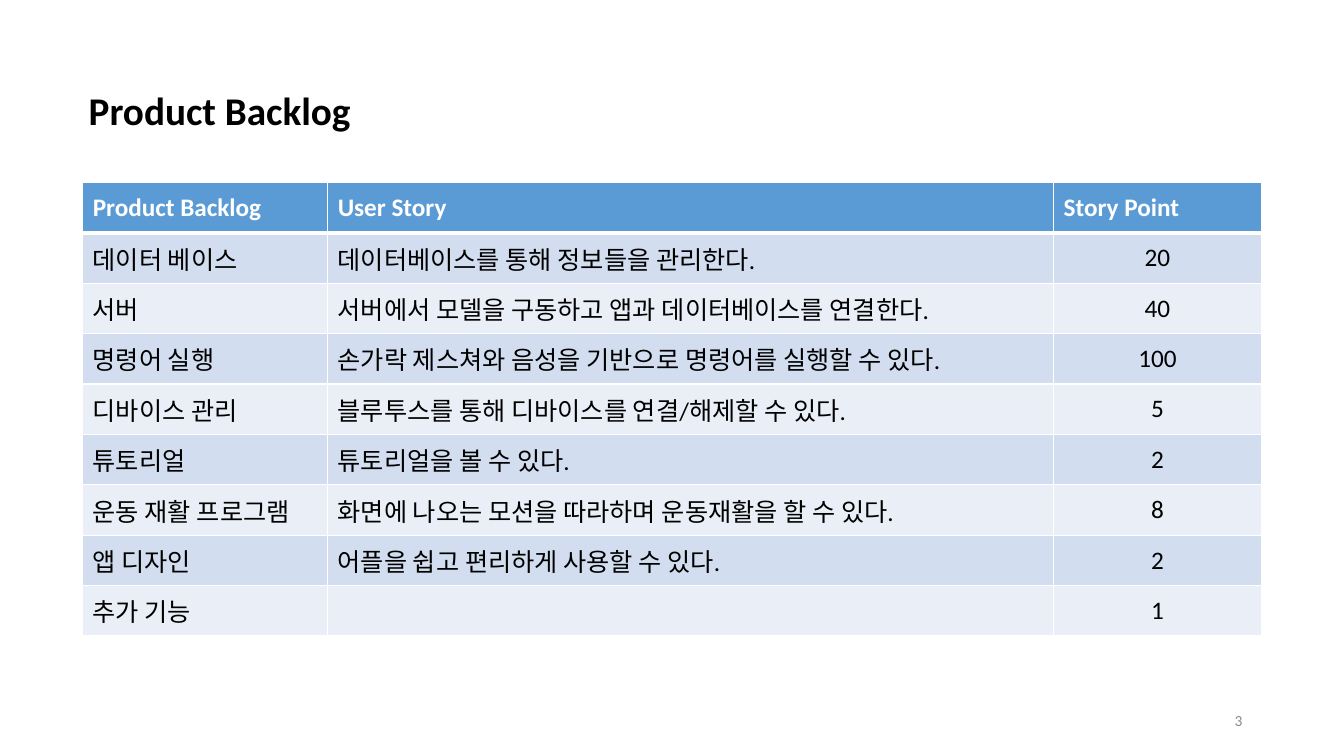
from pptx import Presentation
from pptx.dml.color import RGBColor
from pptx.enum.text import MSO_ANCHOR, PP_ALIGN
from pptx.oxml import parse_xml
from pptx.oxml.ns import nsdecls
from pptx.util import Inches, Pt

WHITE = RGBColor(0xFF, 0xFF, 0xFF)
BLACK = RGBColor(0, 0, 0)
GRAY = RGBColor(0x8C, 0x8C, 0x8C)
BLUE = RGBColor(0x5B, 0x9B, 0xD5)
BANDS = (RGBColor(0xEA, 0xEF, 0xF7), RGBColor(0xD2, 0xDE, 0xEF))

WIDTHS = (2.43, 7.2, 2.06)
HEIGHT = 0.5
ROWS = (
    ("Product Backlog", "User Story", "Story Point"),
    ("데이터 베이스", "데이터베이스를 통해 정보들을 관리한다.", "20"),
    ("서버", "서버에서 모델을 구동하고 앱과 데이터베이스를 연결한다.", "40"),
    ("명령어 실행", "손가락 제스쳐와 음성을 기반으로 명령어를 실행할 수 있다.", "100"),
    ("디바이스 관리", "블루투스를 통해 디바이스를 연결/해제할 수 있다.", "5"),
    ("튜토리얼", "튜토리얼을 볼 수 있다.", "2"),
    ("운동 재활 프로그램", "화면에 나오는 모션을 따라하며 운동재활을 할 수 있다.", "8"),
    ("앱 디자인", "어플을 쉽고 편리하게 사용할 수 있다.", "2"),
    ("추가 기능", "", "1"),
)


def style(frame, text, size, color, bold=False, align=PP_ALIGN.LEFT):
    """Write one formatted paragraph into a text frame."""
    frame.text = text
    para = frame.paragraphs[0]
    para.alignment = align
    font = para.font
    font.name, font.size, font.bold = "Calibri", Pt(size), bold
    font.color.rgb = color


def add_title(slide, text):
    """Move and format the title placeholder."""
    title = slide.shapes.title
    title.left, title.top = Inches(0.78), Inches(0.81)
    title.width, title.height = Inches(3.31), Inches(0.57)
    title.text_frame.vertical_anchor = MSO_ANCHOR.TOP
    style(title.text_frame, text, 28, BLACK, bold=True)


def set_edges(cell, **points):
    """Draw white cell borders of the given point widths."""
    props = cell._tc.get_or_add_tcPr()
    for side, width in points.items():
        props.append(parse_xml(
            f'<a:ln{side} {nsdecls("a")} w="{Pt(width)}"><a:solidFill>'
            f'<a:srgbClr val="{WHITE}"/></a:solidFill></a:ln{side}>'))


def fill_cell(cell, text, row, col):
    """Format one cell by its row and column."""
    head = row == 0
    center = col == 2 and not head
    style(cell.text_frame, text, 18, WHITE if head else BLACK, head,
          PP_ALIGN.CENTER if center else PP_ALIGN.LEFT)
    cell.vertical_anchor = MSO_ANCHOR.MIDDLE
    set_edges(cell, L=1, R=1, T=3 if row == 1 else 1, B=3 if head else 1)
    cell.fill.solid()
    cell.fill.fore_color.rgb = BLUE if head else BANDS[row % 2]


def add_grid(slide):
    """Add the backlog table."""
    table = slide.shapes.add_table(
        len(ROWS), len(WIDTHS), Inches(0.82), Inches(1.81),
        Inches(sum(WIDTHS)), Inches(HEIGHT * len(ROWS))).table
    for column, width in zip(table.columns, WIDTHS):
        column.width = Inches(width)
    for row, texts in enumerate(ROWS):
        for col, text in enumerate(texts):
            fill_cell(table.cell(row, col), text, row, col)


def add_number(slide, text):
    """Add the page number at the lower right."""
    box = slide.shapes.add_textbox(
        Inches(9.42), Inches(6.95), Inches(3), Inches(0.4))
    frame = box.text_frame
    frame.word_wrap = True
    frame.vertical_anchor = MSO_ANCHOR.MIDDLE
    style(frame, text, 11, GRAY, align=PP_ALIGN.RIGHT)


def main():
    """Build and save the slide."""
    deck = Presentation()
    deck.slide_width, deck.slide_height = Inches(13.33), Inches(7.5)
    slide = deck.slides.add_slide(deck.slide_layouts[5])
    add_title(slide, "Product Backlog")
    add_grid(slide)
    add_number(slide, "3")
    deck.save("out.pptx")


if __name__ == "__main__":
    main()
